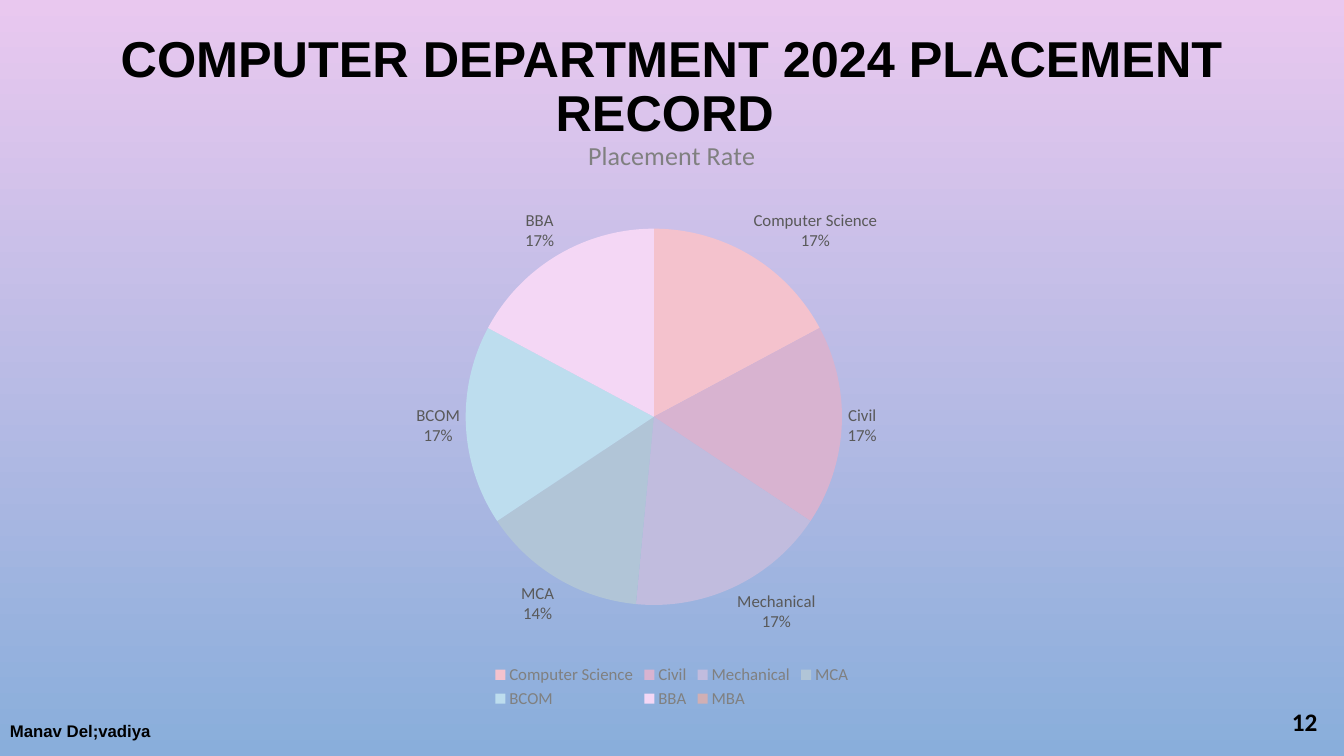
from lxml.etree import SubElement
from pptx import Presentation
from pptx.chart.data import CategoryChartData
from pptx.dml.color import RGBColor
from pptx.enum.chart import XL_CHART_TYPE as ChartType, XL_LABEL_POSITION as LabelPos
from pptx.enum.chart import XL_LEGEND_POSITION as LegendPos
from pptx.enum.text import MSO_ANCHOR as Anchor, PP_ALIGN as Align
from pptx.oxml.ns import qn
from pptx.util import Cm, Pt

# Content
COLORS = {"sky top": "E9C8EF", "sky bottom": "89AEDB", "text": "000000",
          "muted": "808080", "label": "595959"}
CHART_TITLE = "Placement Rate"
DEPARTMENTS = [  # name, rate, slice colour
    ("Computer Science", 17, "F4C2CD"),
    ("Civil", 17, "D8B3D0"),
    ("Mechanical", 17, "C1BCDE"),
    ("MCA", 14, "B1C5D7"),
    ("BCOM", 17, "BDDDEE"),
    ("BBA", 17, "F4D7F5"),
    ("MBA", None, "D0AFB4"),
]
TEXTS = [  # text, (left, top, width, height) in cm, font, size, alignment
    ("COMPUTER DEPARTMENT 2024 PLACEMENT RECORD ", (0.66, 0, 32.54, 4.45),
     "Arial", 36, Align.CENTER),
    ("Manav Del;vadiya", (0, 17.91, 18.54, 1.02), "Arial", 12, Align.LEFT),
    ("12", (31.32, 17.68, 2.13, 1.02), "Calibri", 18, Align.RIGHT),
]
CHART_BOX = (5.64, 2.9, 22.58, 15.06)
PLOT_AREA = {"x": 0.27, "y": 0.19, "w": 0.42, "h": 0.63}  # shares of the chart


def style(font, size, color, name="Calibri", bold=False):
    font.size, font.name, font.bold = Pt(size), name, bold
    font.color.rgb = RGBColor.from_string(COLORS[color])


deck = Presentation()
deck.slide_width, deck.slide_height = Cm(33.87), Cm(19.05)
page = deck.slides.add_slide(deck.slide_layouts[6])

# Background
sky = page.background.fill
sky.gradient()
sky.gradient_angle = 270
for stop, key, place in zip(sky.gradient_stops, ("sky top", "sky bottom"), (0, 1)):
    stop.color.rgb = RGBColor.from_string(COLORS[key])
    stop.position = place

# Pie chart
rates = CategoryChartData()
rates.categories = [name for name, _, _ in DEPARTMENTS]
rates.add_series(CHART_TITLE, [rate for _, rate, _ in DEPARTMENTS])
chart = page.shapes.add_chart(ChartType.PIE, *map(Cm, CHART_BOX), rates).chart
style(chart.font, 10, "text")

chart.has_title = True
title_span = chart.chart_title.text_frame.paragraphs[0].add_run()
title_span.text = CHART_TITLE
style(title_span.font, 18.6, "muted")

chart.has_legend = True
chart.legend.position = LegendPos.BOTTOM
chart.legend.include_in_layout = False
style(chart.legend.font, 12, "muted")

pie = chart.plots[0]
pie.vary_by_categories = True
for index, (_, _, color) in enumerate(DEPARTMENTS):
    fill = pie.series[0].points[index].format.fill
    fill.solid()
    fill.fore_color.rgb = RGBColor.from_string(color)

# Slice labels: name above percentage
labels = pie.series[0].data_labels
labels.show_category_name = labels.show_percentage = True
labels.show_value = labels.show_legend_key = labels.show_series_name = False
labels.position = LabelPos.OUTSIDE_END
style(labels.font, 12, "label")
separator = labels._element.makeelement(qn("c:separator"))
separator.text = "\n"
labels._element.find(qn("c:showBubbleSize")).addnext(separator)

# Fixed place of the pie inside the chart
plot_area = chart._chartSpace.chart.plotArea
layout = plot_area.find(qn("c:layout"))
if layout is None:
    layout = plot_area.makeelement(qn("c:layout"))
    plot_area.insert(0, layout)
manual = SubElement(layout, qn("c:manualLayout"))
settings = {"layoutTarget": "inner", "xMode": "edge", "yMode": "edge", **PLOT_AREA}
for tag, value in settings.items():
    SubElement(manual, qn(f"c:{tag}")).set("val", str(value))

# Title, author and page number
for text, place, font_name, size, align in TEXTS:
    box = page.shapes.add_textbox(*map(Cm, place))
    box.text_frame.word_wrap = True
    box.text_frame.vertical_anchor = Anchor.MIDDLE
    para = box.text_frame.paragraphs[0]
    para.alignment = align
    para.line_spacing = 0.9 if size == 36 else 1.0
    span = para.add_run()
    span.text = text
    style(span.font, size, "text", font_name, bold=True)

deck.save("out.pptx")
